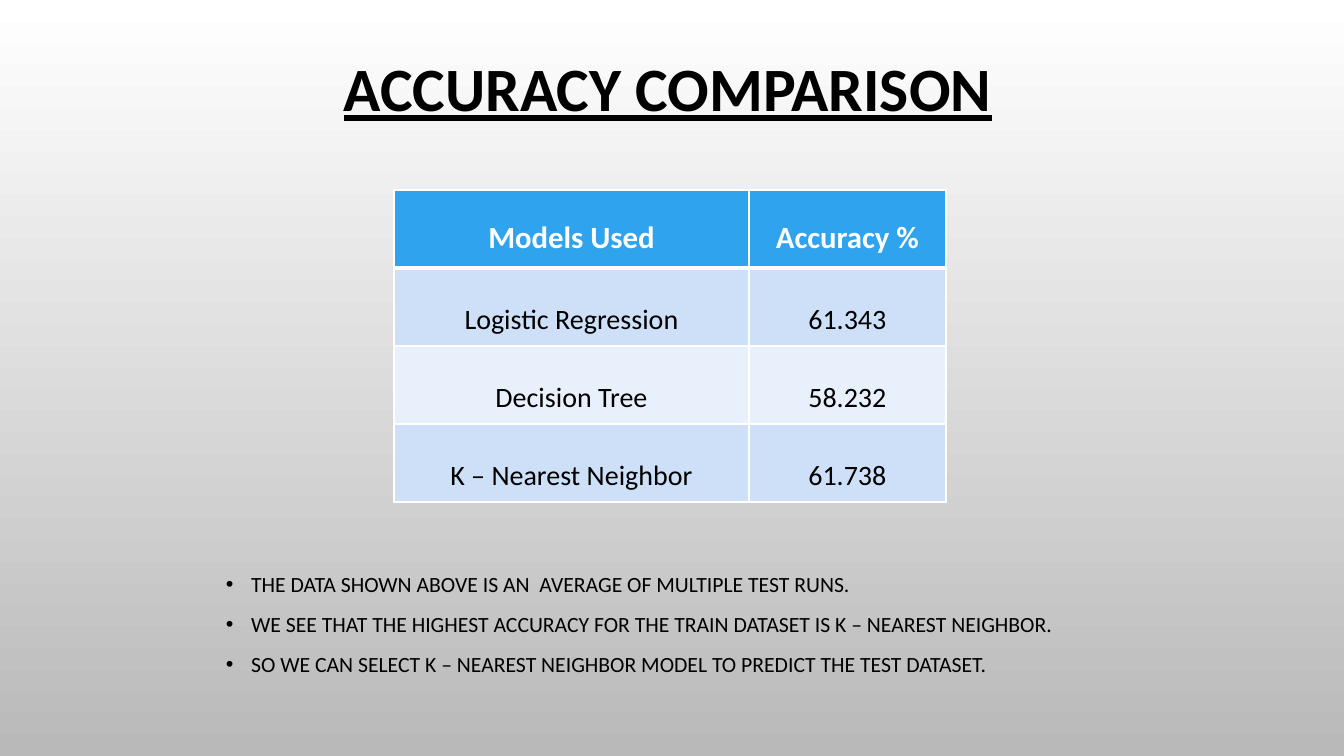
from lxml import etree
from pptx import Presentation
from pptx import util as u
from pptx.dml import color
from pptx.enum import text
from pptx.oxml import ns

PX = 12192000 / 1344
HUES = {"black": "000000", "white": "FFFFFF", "gray": "B9B9B9",
        "blue": "2FA3EE", "mid": "CDE0F8", "pale": "E8F0FC"}


def px(*sizes):
    return [u.Emu(round(size * PX)) for size in sizes]


def style(para, size, hue, bold=False):
    for run in para.runs:
        run.font.name = "Calibri"
        run.font.size = u.Pt(size)
        run.font.bold = bold
        run.font.color.rgb = color.RGBColor.from_string(HUES[hue])


deck = Presentation()
deck.slide_width, deck.slide_height = px(1344, 756)
slide = deck.slides.add_slide(deck.slide_layouts[6])

# Background, white at the top to gray at the bottom
back = slide.background.fill
back.gradient()
back.gradient_angle = 270
for stop, hue, place in zip(back.gradient_stops, ("white", "gray"), (0, 1)):
    stop.color.rgb = color.RGBColor.from_string(HUES[hue])
    stop.position = place

# Title
frame = slide.shapes.add_textbox(*px(57, 12, 1222, 160)).text_frame
frame.word_wrap = True
frame.vertical_anchor = text.MSO_ANCHOR.MIDDLE
title = frame.paragraphs[0]
title.text = "ACCURACY COMPARISON"
title.alignment = text.PP_ALIGN.CENTER
title.line_spacing = 0.9
style(title, 44, "black", True)
title.runs[0].font.underline = True

# Accuracy table
rows = [("Models Used", "Accuracy %"),
        ("Logistic Regression", "61.343"),
        ("Decision Tree", "58.232"),
        ("K – Nearest Neighbor", "61.738")]
table = slide.shapes.add_table(4, 2, *px(394, 190, 552, 312)).table
for col, width in zip(table.columns, px(355, 197)):
    col.width = width
for r, row in enumerate(rows):
    head = r == 0
    fill = "blue" if head else "mid" if r % 2 else "pale"
    for c, words in enumerate(row):
        cell = table.cell(r, c)
        cell.vertical_anchor = text.MSO_ANCHOR.MIDDLE
        para = cell.text_frame.paragraphs[0]
        para.text = words
        para.alignment = text.PP_ALIGN.CENTER
        para.line_spacing = 1.5 if head else 1.75
        style(para, 22 if head else 20, "white" if head else "black", head)
        # White borders, thick between header and body
        props = cell._tc.get_or_add_tcPr()
        for side in "LRTB":
            thick = (head and side == "B") or (r == 1 and side == "T")
            line = etree.SubElement(props, ns.qn("a:ln" + side),
                                    w=str(u.Pt(3 if thick else 1)))
            solid = etree.SubElement(line, ns.qn("a:solidFill"))
            etree.SubElement(solid, ns.qn("a:srgbClr"), val=HUES["white"])
        cell.fill.solid()
        cell.fill.fore_color.rgb = color.RGBColor.from_string(HUES[fill])

# Findings
notes = ["THE DATA SHOWN ABOVE IS AN  AVERAGE OF MULTIPLE TEST RUNS.",
         "WE SEE THAT THE HIGHEST ACCURACY FOR THE TRAIN DATASET IS K – NEAREST NEIGHBOR.",
         "SO WE CAN SELECT K – NEAREST NEIGHBOR MODEL TO PREDICT THE TEST DATASET."]
frame = slide.shapes.add_textbox(*px(216, 566, 929, 141)).text_frame
frame.word_wrap = True
frame.text = "\n".join(notes)
for para in frame.paragraphs:
    para.space_before = u.Pt(10)
    style(para, 15.5, "black")
    props = para._p.get_or_add_pPr()
    props.set("marL", str(u.Inches(0.25)))
    props.set("indent", str(-u.Inches(0.25)))
    tint = etree.SubElement(props, ns.qn("a:buClr"))
    etree.SubElement(tint, ns.qn("a:srgbClr"), val=HUES["black"])
    etree.SubElement(props, ns.qn("a:buFont"), typeface="Arial")
    etree.SubElement(props, ns.qn("a:buChar"), char="•")

deck.save("out.pptx")
